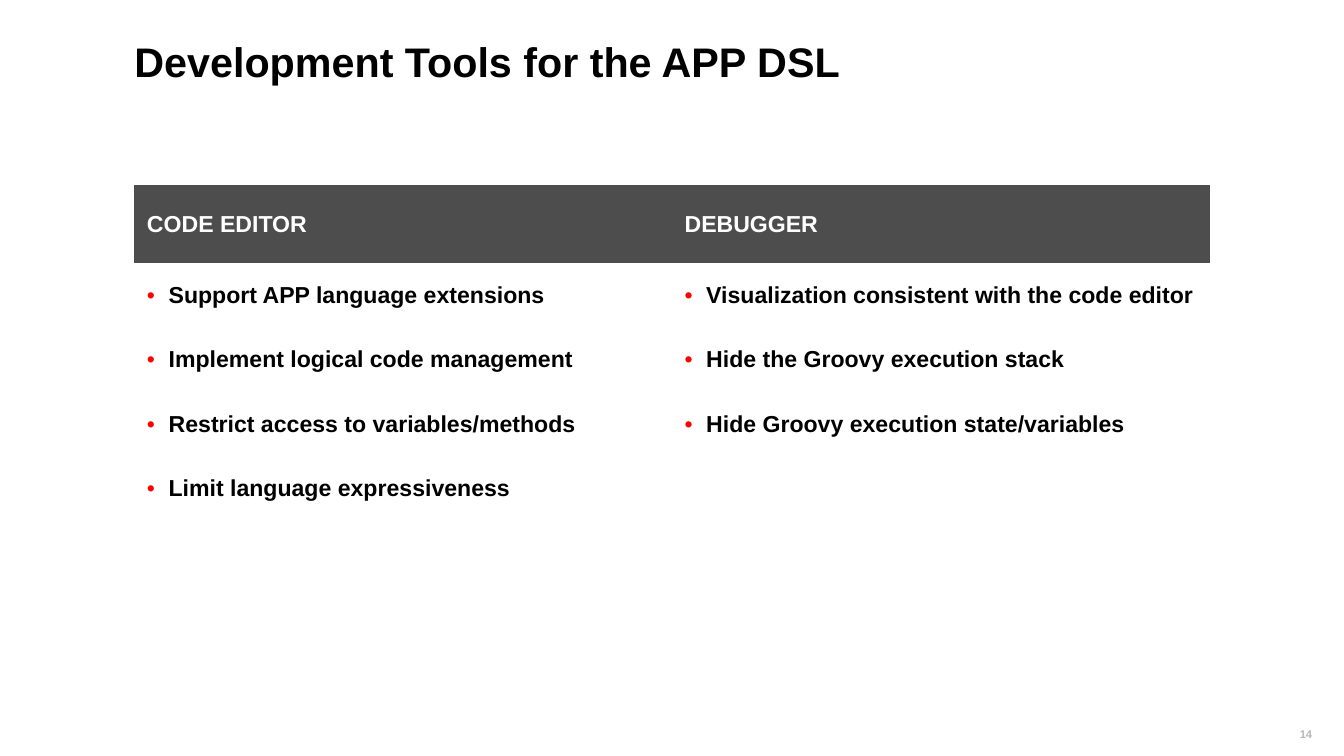
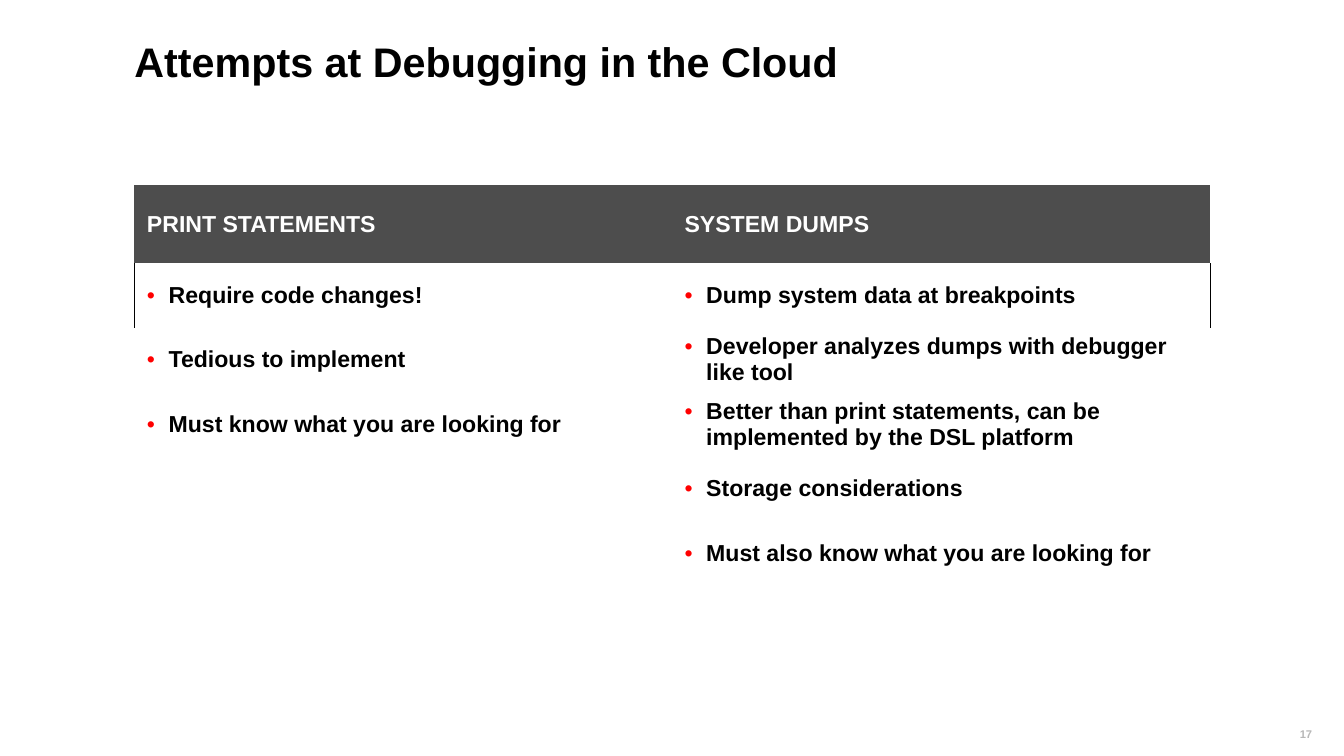
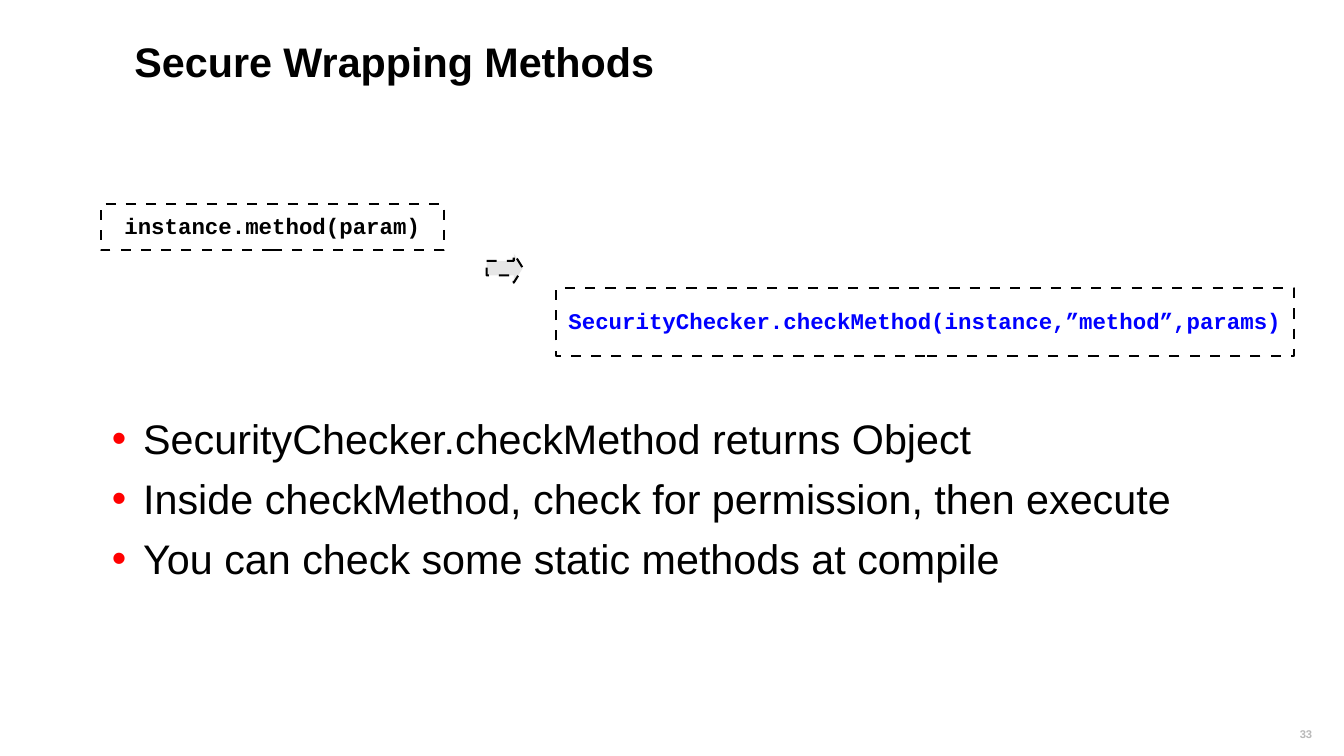
"""Three slides on a domain-specific language: two comparison tables and one code rewrite."""
from dataclasses import dataclass
from itertools import zip_longest

import lxml.etree
import pptx
import pptx.dml.color
import pptx.enum.shapes
import pptx.enum.text
import pptx.oxml.ns
import pptx.util

WIDTH, HEIGHT = 26.67, 15.0
BLACK, WHITE, RED, BLUE = "000000", "FFFFFF", "FF0000", "0000FF"
HEADER_GREY, ARROW_GREY, NUMBER_GREY = "4D4D4D", "E6E6E6", "B8B8B8"
NO_GRID_STYLE = "{2D5ABB26-0587-4C30-8999-92F81FD0307C}"
HEADER_ROW, BODY_ROW = 10.33, 8.53  # table row heights, percent of slide height
BORDER_PT = 0.06
Shapes = pptx.enum.shapes.MSO_SHAPE
Align = pptx.enum.text.PP_ALIGN
MIDDLE = pptx.enum.text.MSO_ANCHOR.MIDDLE


@dataclass(frozen=True)
class Box:
    """A rectangle in percent of the slide's width and height."""
    x: float
    y: float
    w: float
    h: float

    def emu(self) -> tuple:
        """Return left, top, width and height as lengths."""
        return across(self.x), down(self.y), across(self.w), down(self.h)


@dataclass(frozen=True)
class Style:
    """The look of a paragraph; indent is in inches, and 0 means no bullet."""
    size: float
    color: str = BLACK
    bold: bool = True
    font: str = "Arial"
    align: Align = Align.LEFT
    before: float = 0
    line: float = 1.0
    indent: float = 0


@dataclass(frozen=True)
class Column:
    """One table column: a heading above bullet points."""
    heading: str
    points: tuple


TITLE = Style(59)
NUMBER = Style(16, NUMBER_GREY, align=Align.RIGHT, before=10, line=0.9)
HEADING = Style(33, WHITE, before=8.2)
POINT = Style(33, before=8.2, indent=0.43)
BODY = Style(59, bold=False, before=14.7, indent=0.62)

TITLE_BOX = Box(10, 4.8, 80, 12.5)
NUMBER_BOX = Box(90.5, 96.13, 7.5, 2.27)
BODY_BOX = Box(8.33, 54.67, 80, 29.47)
TABLE_LEFT, TABLE_TOP, TABLE_WIDTH = 10, 24.47, 80


def across(percent: float) -> pptx.util.Length:
    """Convert percent of slide width to a length."""
    return pptx.util.Inches(WIDTH * percent / 100)


def down(percent: float) -> pptx.util.Length:
    """Convert percent of slide height to a length."""
    return pptx.util.Inches(HEIGHT * percent / 100)


def rgb(color: str) -> pptx.dml.color.RGBColor:
    """Turn a hex string into a colour."""
    return pptx.dml.color.RGBColor.from_string(color)


def add_xml(parent, tag: str, **attributes: str):
    """Append a DrawingML element and return it."""
    return lxml.etree.SubElement(parent, pptx.oxml.ns.qn(tag), attributes)


def add_bullet(p, indent: float) -> None:
    """Give a paragraph a red bullet with a hanging indent."""
    p_pr = p._p.get_or_add_pPr()
    length = pptx.util.Inches(indent)
    p_pr.set("marL", str(length))
    p_pr.set("indent", str(-length))
    add_xml(add_xml(p_pr, "a:buClr"), "a:srgbClr", val=RED)
    add_xml(p_pr, "a:buFont", typeface="Arial")
    add_xml(p_pr, "a:buChar", char="•")


def write(tf, text: str, style: Style) -> None:
    """Fill a text frame, one styled paragraph a line."""
    tf.text = text
    for p in tf.paragraphs:
        p.alignment = style.align
        p.space_before = pptx.util.Pt(style.before)
        p.line_spacing = style.line
        if style.indent:
            add_bullet(p, style.indent)
        for r in p.runs:
            r.font.name, r.font.bold = style.font, style.bold
            r.font.size = pptx.util.Pt(style.size)
            r.font.color.rgb = rgb(style.color)


def set_margins(holder, left: float, top: float, right: float, bottom: float) -> None:
    """Set the inner margins of a text frame or cell, in inches."""
    holder.margin_left, holder.margin_right = pptx.util.Inches(left), pptx.util.Inches(right)
    holder.margin_top, holder.margin_bottom = pptx.util.Inches(top), pptx.util.Inches(bottom)


def add_text(s, box: Box, text: str, style: Style, margins: tuple = (0, 0, 0, 0)) -> None:
    """Add a wrapping text box."""
    tf = s.shapes.add_textbox(*box.emu()).text_frame
    tf.word_wrap = True
    set_margins(tf, *margins)
    write(tf, text, style)


def add_slide(prs, title: str, number: int):
    """Add a blank slide with the shared title and slide number."""
    s = prs.slides.add_slide(prs.slide_layouts[6])
    add_text(s, NUMBER_BOX, str(number), NUMBER, (0.1, 0.05, 0.1, 0.05))
    add_text(s, TITLE_BOX, title, TITLE)
    return s


def add_border(cell, side: str) -> None:
    """Draw a black hairline on the cell's side, named as in a:lnL."""
    tc_pr = cell._tc.get_or_add_tcPr()
    line = add_xml(tc_pr, "a:ln" + side, w=str(pptx.util.Pt(BORDER_PT)))
    add_xml(add_xml(line, "a:solidFill"), "a:srgbClr", val=BLACK)
    tc_pr.insert(0, line)


def add_comparison(s, columns: tuple, side_lines: bool = False) -> None:
    """Add the table; side_lines edges its first row of points."""
    rows = list(zip_longest(*(c.points for c in columns), fillvalue=""))
    box = Box(TABLE_LEFT, TABLE_TOP, TABLE_WIDTH, HEADER_ROW + BODY_ROW * len(rows))
    frame = s.shapes.add_table(len(rows) + 1, len(columns), *box.emu())
    table = frame.table
    table._tbl.tblPr.find(pptx.oxml.ns.qn("a:tableStyleId")).text = NO_GRID_STYLE
    table.horz_banding = False
    for column in table.columns:
        column.width = across(TABLE_WIDTH / len(columns))
    for i, texts in enumerate([[c.heading for c in columns], *rows]):
        table.rows[i].height = down(BODY_ROW if i else HEADER_ROW)
        for j, text in enumerate(texts):
            cell = table.cell(i, j)
            cell.vertical_anchor = MIDDLE
            set_margins(cell, 0.25, 0.05, 0.1, 0.05)
            if i:
                cell.fill.background()
            else:
                cell.fill.solid()
                cell.fill.fore_color.rgb = rgb(HEADER_GREY)
            if text:
                write(cell.text_frame, text, POINT if i else HEADING)
    if side_lines:
        add_border(table.cell(1, 0), "L")
        add_border(table.cell(1, len(columns) - 1), "R")


def add_dashed(s, kind: Shapes, box: Box, fill: str):
    """Add a filled shape with a dashed black outline."""
    sp = s.shapes.add_shape(kind, *box.emu())
    sp.shadow.inherit = False
    sp.fill.solid()
    sp.fill.fore_color.rgb = rgb(fill)
    sp.line.color.rgb = rgb(BLACK)
    sp.line.width = pptx.util.Pt(2.89)
    dashes = add_xml(sp.line._get_or_add_ln(), "a:custDash")
    add_xml(dashes, "a:ds", d="500000", sp="500000")
    return sp


def add_code(s, box: Box, code: str, color: str) -> None:
    """Add a dashed box holding a line of code."""
    tf = add_dashed(s, Shapes.RECTANGLE, box, WHITE).text_frame
    tf.word_wrap = True
    tf.vertical_anchor = MIDDLE
    set_margins(tf, 0.15, 0.15, 0.15, 0.15)
    write(tf, code, Style(32, color, font="Courier New", align=Align.CENTER,
                          before=12.5, line=0.9))


def build_tools(prs) -> None:
    """Compare the needs of the code editor and the debugger."""
    s = add_slide(prs, "Development Tools for the APP DSL", 14)
    add_comparison(s, (
        Column("CODE EDITOR", (
            "Support APP language extensions",
            "Implement logical code management",
            "Restrict access to variables/methods",
            "Limit language expressiveness")),
        Column("DEBUGGER", (
            "Visualization consistent with the code editor",
            "Hide the Groovy execution stack",
            "Hide Groovy execution state/variables"))))


def build_debugging(prs) -> None:
    """Compare print statements with system dumps."""
    s = add_slide(prs, "Attempts at Debugging in the Cloud", 17)
    add_comparison(s, (
        Column("PRINT STATEMENTS", (
            "Require code changes!",
            "Tedious to implement",
            "Must know what you are looking for")),
        Column("SYSTEM DUMPS", (
            "Dump system data at breakpoints",
            "Developer analyzes dumps with debugger like tool",
            "Better than print statements, can be implemented by the DSL platform",
            "Storage considerations",
            "Must also know what you are looking for"))), side_lines=True)


def build_wrapping(prs) -> None:
    """Show a method call rewritten as a checked call."""
    s = add_slide(prs, "Secure Wrapping Methods", 33)
    add_text(s, BODY_BOX, "\n".join((
        "SecurityChecker.checkMethod returns Object",
        "Inside checkMethod, check for permission, then execute",
        "You can check some static methods at compile")), BODY)
    arrow = add_dashed(s, Shapes.RIGHT_ARROW, Box(36.2, 33.53, 2.7, 3.87), ARROW_GREY)
    arrow.adjustments[0], arrow.adjustments[1] = 0.5, 0.31
    add_code(s, Box(41.4, 38.13, 54.85, 9),
             "SecurityChecker.checkMethod(instance,”method”,params)", BLUE)
    add_code(s, Box(7.5, 27, 25.53, 6.13), "instance.method(param)", BLACK)


def main() -> None:
    """Build and save the deck."""
    prs = pptx.Presentation()
    prs.slide_width, prs.slide_height = across(100), down(100)
    for build in (build_tools, build_debugging, build_wrapping):
        build(prs)
    prs.save("out.pptx")


main()
